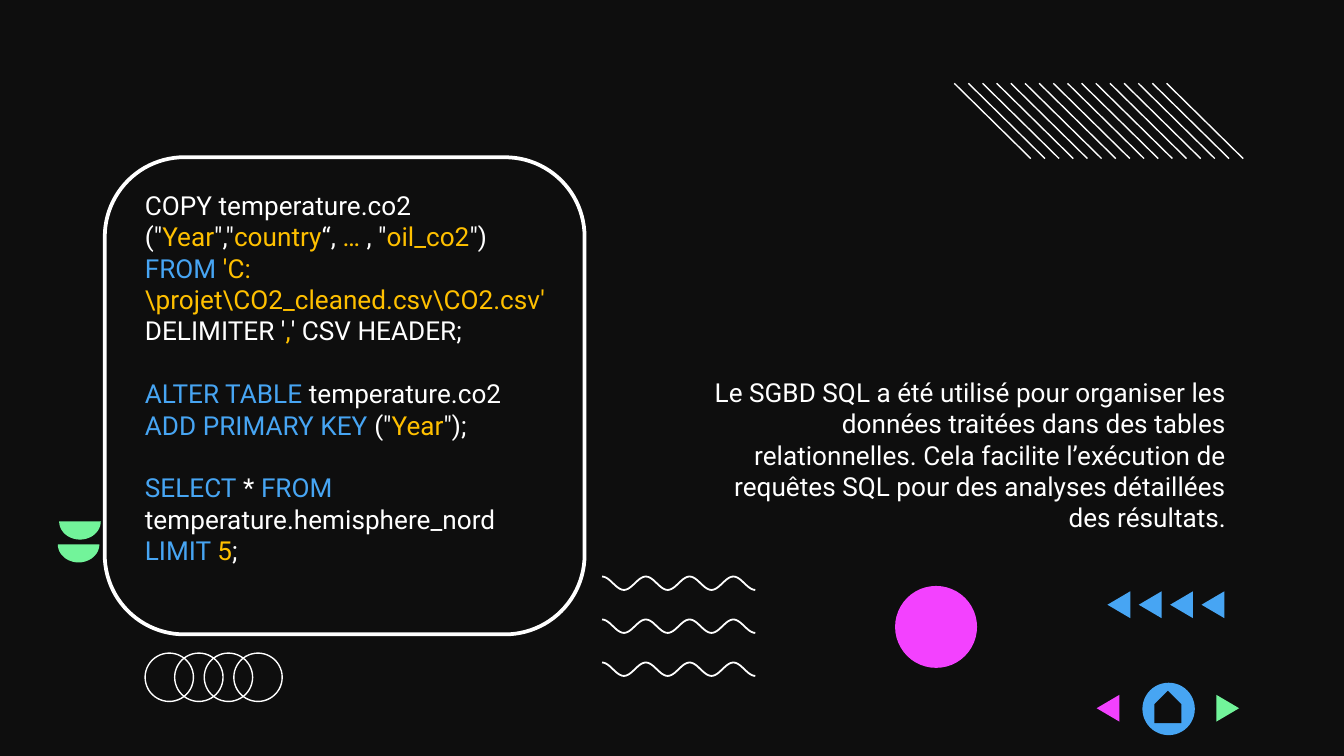
import math
from lxml import etree
from pptx import Presentation
from pptx.dml.color import RGBColor
from pptx.enum.shapes import MSO_CONNECTOR, MSO_SHAPE
from pptx.enum.text import MSO_ANCHOR, PP_ALIGN
from pptx.oxml.ns import qn
from pptx.util import Inches, Pt

ELLIPSE, HOUSE, ROUNDED = MSO_SHAPE.OVAL, MSO_SHAPE.PENTAGON, MSO_SHAPE.ROUNDED_RECTANGLE
STRAIGHT = MSO_CONNECTOR.STRAIGHT
LEFT, RIGHT = PP_ALIGN.LEFT, PP_ALIGN.RIGHT
TOP = MSO_ANCHOR.TOP

BLACK, WHITE, BLUE = "0E0E0E", "FFFFFF", "47A5F3"
GOLD, PINK, GREEN = "FFC000", "F341FF", "72F49A"
FONT = {"name": "Roboto", "size": Pt(14)}

SUMMARY = [[(
    "Le SGBD SQL a été utilisé pour organiser les données traitées dans des tables "
    "relationnelles. Cela facilite l’exécution de requêtes SQL pour des analyses "
    "détaillées des résultats.", WHITE)]]
QUERIES = [
    [('COPY temperature.co2 ("', WHITE), ("Year", GOLD), ('","', WHITE),
     ("country", GOLD), ("“, ", WHITE), ("… ", GOLD), (', "', WHITE),
     ("oil_co2", GOLD), ('")', WHITE), (" FROM ", BLUE),
     ("'C:\\projet\\CO2_cleaned.csv\\CO2.csv' ", GOLD), ("DELIMITER '", WHITE),
     (",", GOLD), ("' CSV HEADER;", WHITE)],
    [("ALTER TABLE ", BLUE), ("temperature.co2 ", WHITE), ("ADD PRIMARY KEY", BLUE),
     (' ("', WHITE), ("Year", GOLD), ('");', WHITE)],
    [("SELECT", BLUE), (" * ", WHITE), ("FROM ", BLUE),
     ("temperature.hemisphere_nord ", WHITE), ("LIMIT ", BLUE), ("5", GOLD), (";", WHITE)],
]
TEXTS = [
    (SUMMARY, (5, 2.7, 4.22, 1.41), RIGHT, 0.2, 0.1),
    (QUERIES, (0.98, 1.36, 3.19, 2.93), LEFT, 0.1, 0.05),
]
SHAPES = [
    (ELLIPSE, (6.66, 4.36, 0.61, 0.61), PINK, None, 0, 0),
    (ELLIPSE, (8.5, 5.08, 0.39, 0.39), BLUE, None, 0, 0),
    (HOUSE, (8.57, 5.16, 0.24, 0.2), BLACK, None, 0, 270),
    (ROUNDED, (0.78, 1.17, 3.57, 3.55), None, WHITE, 2, 0),
]
SHAPES += [(ELLIPSE, (1.08 + 0.22 * i, 4.86, 0.36, 0.36), None, WHITE, 0.75, 0)
           for i in range(4)]
TRIANGLES = [(8.24 + 0.7 * i / 3, 4.4, -1, BLUE) for i in range(4)]
TRIANGLES += [(8.16, 5.17, -1, PINK), (9.05, 5.17, 1, GREEN)]
BOWLS = [(0.43, 4.05), (0.44, 3.88)]
WAVE_TOPS = [4.29, 4.61, 4.93]
STRIPES = 16


def color(value):
    return RGBColor.from_string(value)


def paint(sp, fill, line, width):
    sp.shadow.inherit = False
    if fill:
        sp.fill.solid()
        sp.fill.fore_color.rgb = color(fill)
    else:
        sp.fill.background()
    if line:
        sp.line.color.rgb = color(line)
        sp.line.width = Pt(width)
    else:
        sp.line.fill.background()


def add_outline(s, points, fill=None, line=None, width=0):
    points = [(Inches(x), Inches(y)) for x, y in points]
    builder = s.shapes.build_freeform(*points[0], scale=1.0)
    builder.add_line_segments(points[1:], close=fill is not None)
    paint(builder.convert_to_shape(), fill, line, width)


def add_text(s, paragraphs, box, align, left, inset):
    tf = s.shapes.add_textbox(*map(Inches, box)).text_frame
    frame = {"word_wrap": True, "vertical_anchor": TOP, "margin_left": Inches(left),
             "margin_top": Inches(inset), "margin_bottom": Inches(inset)}
    for name, value in frame.items():
        setattr(tf, name, value)
    for i, runs in enumerate(paragraphs):
        p = tf.add_paragraph() if i else tf.paragraphs[0]
        p.alignment = align
        p.space_before = Pt(16.8 if i else 0)
        for text, tint in runs:
            r = p.add_run()
            r.text = text
            for name, value in FONT.items():
                setattr(r.font, name, value)
            r.font.color.rgb = color(tint)


def add_stripe(s, x):
    ends = (x, 0.62, x + 0.57, 1.18)
    stripe = s.shapes.add_connector(STRAIGHT, *map(Inches, ends))
    stripe.line.color.rgb = color(WHITE)
    stripe.line.width = Pt(0.75)
    etree.SubElement(stripe._element.spPr, qn("a:effectLst"))


def main():
    prs = Presentation()
    prs.slide_width, prs.slide_height = Inches(10), Inches(10 * 9 / 16)
    s = prs.slides.add_slide(prs.slide_layouts[6])
    s.background.fill.solid()
    s.background.fill.fore_color.rgb = color(BLACK)

    for top in WAVE_TOPS:
        wave = [(4.48 + 1.14 * i / 84, top + 0.05 * (1 - math.cos(math.pi * i / 12)))
                for i in range(85)]
        add_outline(s, wave, line=WHITE, width=0.95)
    for i in range(STRIPES):
        add_stripe(s, 7.1 + 1.58 * i / (STRIPES - 1))
    for x, y, direction, fill in TRIANGLES:
        base, tip = (x, x + 0.17) if direction > 0 else (x + 0.17, x)
        add_outline(s, [(base, y), (tip, y + 0.1), (base, y + 0.2)], fill)
    for x, y in BOWLS:
        bowl = [(x + 0.155 * (1 - math.cos(math.pi * i / 24)),
                 y + 0.135 * math.sin(math.pi * i / 24)) for i in range(25)]
        add_outline(s, bowl, GREEN)
    for kind, box, fill, line, width, rotation in SHAPES:
        sp = s.shapes.add_shape(kind, *map(Inches, box))
        sp.rotation = rotation
        paint(sp, fill, line, width)
    for paragraphs, box, align, left, inset in TEXTS:
        add_text(s, paragraphs, box, align, left, inset)
    prs.save("out.pptx")


if __name__ == "__main__":
    main()
